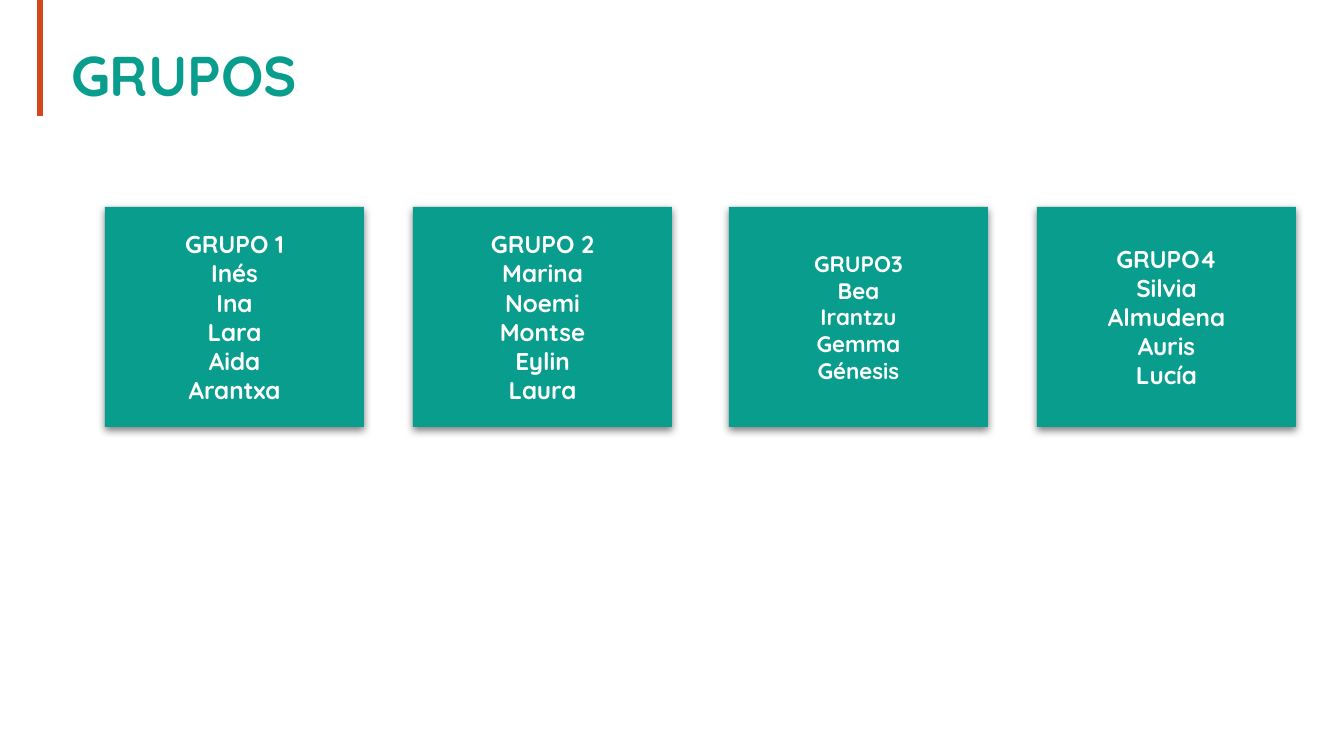
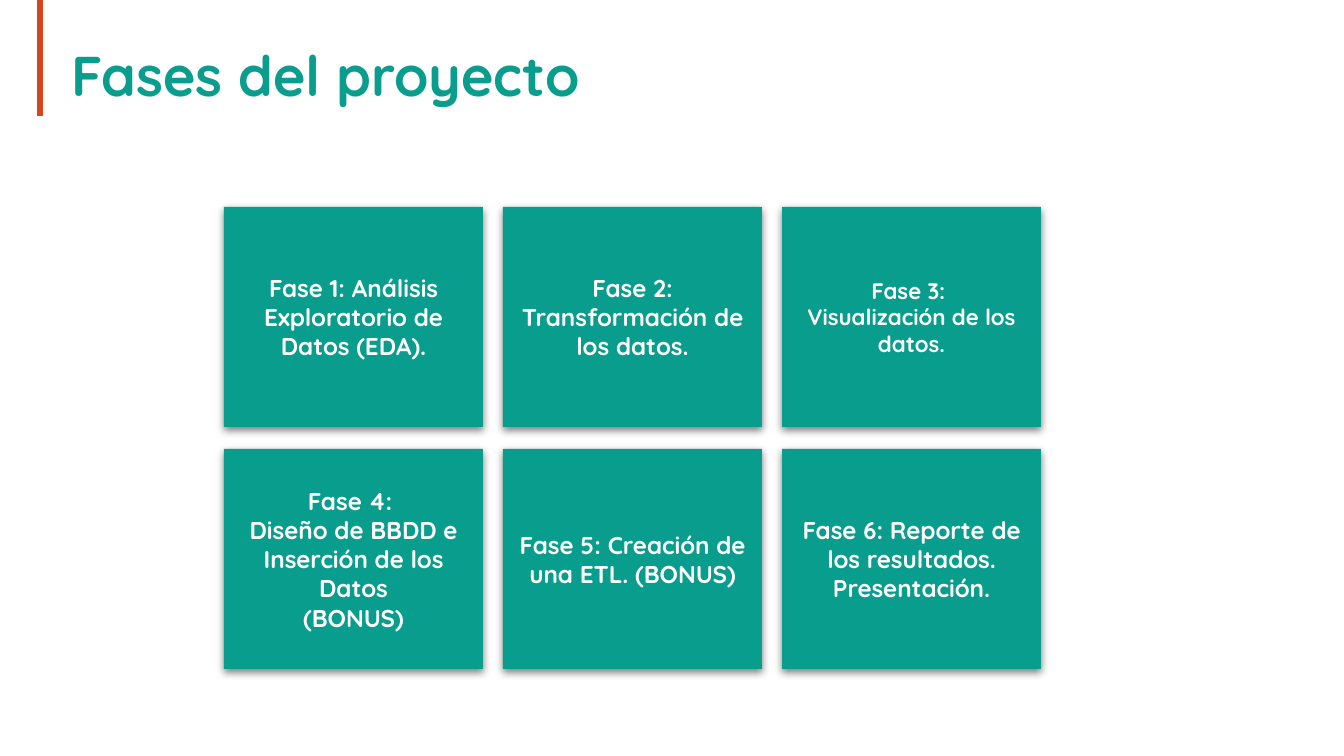
from dataclasses import dataclass

from lxml.etree import SubElement
from pptx import Presentation
from pptx.dml.color import RGBColor
from pptx.enum.shapes import MSO_CONNECTOR, MSO_SHAPE
from pptx.enum.text import MSO_ANCHOR, MSO_AUTO_SIZE, PP_ALIGN
from pptx.oxml.ns import qn
from pptx.util import Pt


@dataclass(frozen=True)
class Theme:
    font: str = "Quicksand"
    teal: str = "099D8D"
    orange: str = "D3461E"
    white: str = "FFFFFF"
    shadow: str = "000000"
    title_size: int = 30
    card_size: int = 13
    small_card_size: int = 12


THEME = Theme()

# Each card is its list of paragraphs.
GROUPS = [
    ["GRUPO 1", "Inés", "Ina", "Lara", "Aida", "Arantxa"],
    ["GRUPO 2", "Marina", "Noemi", "Montse", "Eylin", "Laura"],
    ["GRUPO3", "Bea", "Irantzu", "Gemma", "Génesis"],
    ["GRUPO4", "Silvia", "Almudena", "Auris", "Lucía"],
]
PHASES = [
    ["Fase 1: Análisis Exploratorio de Datos (EDA)."],
    ["Fase 2: Transformación de los datos."],
    ["Fase 3: ", "Visualización de los datos."],
    ["Fase 4: ", "Diseño de BBDD e Inserción de los Datos", "(BONUS)"],
    ["Fase 5: Creación de una ETL. (BONUS)"],
    ["Fase 6: Reporte de los resultados. Presentación."],
]
SMALL_CARD = 2  # the third card of each slide has smaller text

# Lengths in px
SLIDE_W, SLIDE_H = 1344, 756
CARD_W, CARD_H, CARD_TOP, ROW_PITCH = 259, 220, 207, 242
GROUP_COLUMNS = [105, 413, 729, 1037]
PHASE_COLUMNS = [224 + 279 * i for i in range(3)]
CARD_INSET = 13

SLIDES = [
    ("GRUPOS", GROUPS, GROUP_COLUMNS),
    ("Fases del proyecto", PHASES, PHASE_COLUMNS),
]


def px(n):
    return round(n * 914400 / 134.4)


def rgb(color):
    return RGBColor.from_string(color)


def write(tf, paragraphs, size, color, align, anchor, inset=0, spacing=None):
    tf.word_wrap = True
    tf.auto_size = MSO_AUTO_SIZE.NONE
    tf.vertical_anchor = anchor
    tf.margin_left = tf.margin_right = tf.margin_top = tf.margin_bottom = px(inset)
    for i, text in enumerate(paragraphs):
        p = tf.paragraphs[0] if i == 0 else tf.add_paragraph()
        p.alignment = align
        if spacing:
            p.line_spacing = spacing
        r = p.add_run()
        r.text = text
        r.font.name = THEME.font
        r.font.size = Pt(size)
        r.font.bold = True
        r.font.color.rgb = rgb(color)


def add_soft_shadow(sp):
    sp.shadow.inherit = False
    effects = sp._element.spPr.find(qn("a:effectLst"))
    outer = SubElement(effects, qn("a:outerShdw"), blurRad=str(Pt(4.5)),
                       dist=str(Pt(1.5)), dir="5400000", algn="bl",
                       rotWithShape="0")
    color = SubElement(outer, qn("a:srgbClr"), val=THEME.shadow)
    SubElement(color, qn("a:alpha"), val="50000")


def add_header(s, title):
    bar = s.shapes.add_connector(MSO_CONNECTOR.STRAIGHT,
                                 px(40), px(-1), px(40), px(116))
    bar.line.color.rgb = rgb(THEME.orange)
    bar.line.width = Pt(3)
    SubElement(bar._element.spPr, qn("a:effectLst"))

    sp = s.shapes.title
    sp.left, sp.top, sp.width, sp.height = px(71), px(48), px(894), px(40)
    write(sp.text_frame, [title], size=THEME.title_size, color=THEME.teal,
          align=PP_ALIGN.LEFT, anchor=MSO_ANCHOR.TOP, spacing=0.9)


def add_card(s, left, top, paragraphs, size):
    sp = s.shapes.add_shape(MSO_SHAPE.RECTANGLE, px(left), px(top),
                            px(CARD_W), px(CARD_H))
    sp.fill.solid()
    sp.fill.fore_color.rgb = rgb(THEME.teal)
    sp.line.fill.background()
    add_soft_shadow(sp)
    write(sp.text_frame, paragraphs, size=size, color=THEME.white,
          align=PP_ALIGN.CENTER, anchor=MSO_ANCHOR.MIDDLE, inset=CARD_INSET)


def main():
    prs = Presentation()
    prs.slide_width, prs.slide_height = px(SLIDE_W), px(SLIDE_H)
    title_only = prs.slide_layouts[5]
    for title, cards, columns in SLIDES:
        s = prs.slides.add_slide(title_only)
        add_header(s, title)
        for i, paragraphs in enumerate(cards):
            row, col = divmod(i, len(columns))
            size = THEME.small_card_size if i == SMALL_CARD else THEME.card_size
            add_card(s, columns[col], CARD_TOP + row * ROW_PITCH, paragraphs, size)
    prs.save("out.pptx")


if __name__ == "__main__":
    main()
